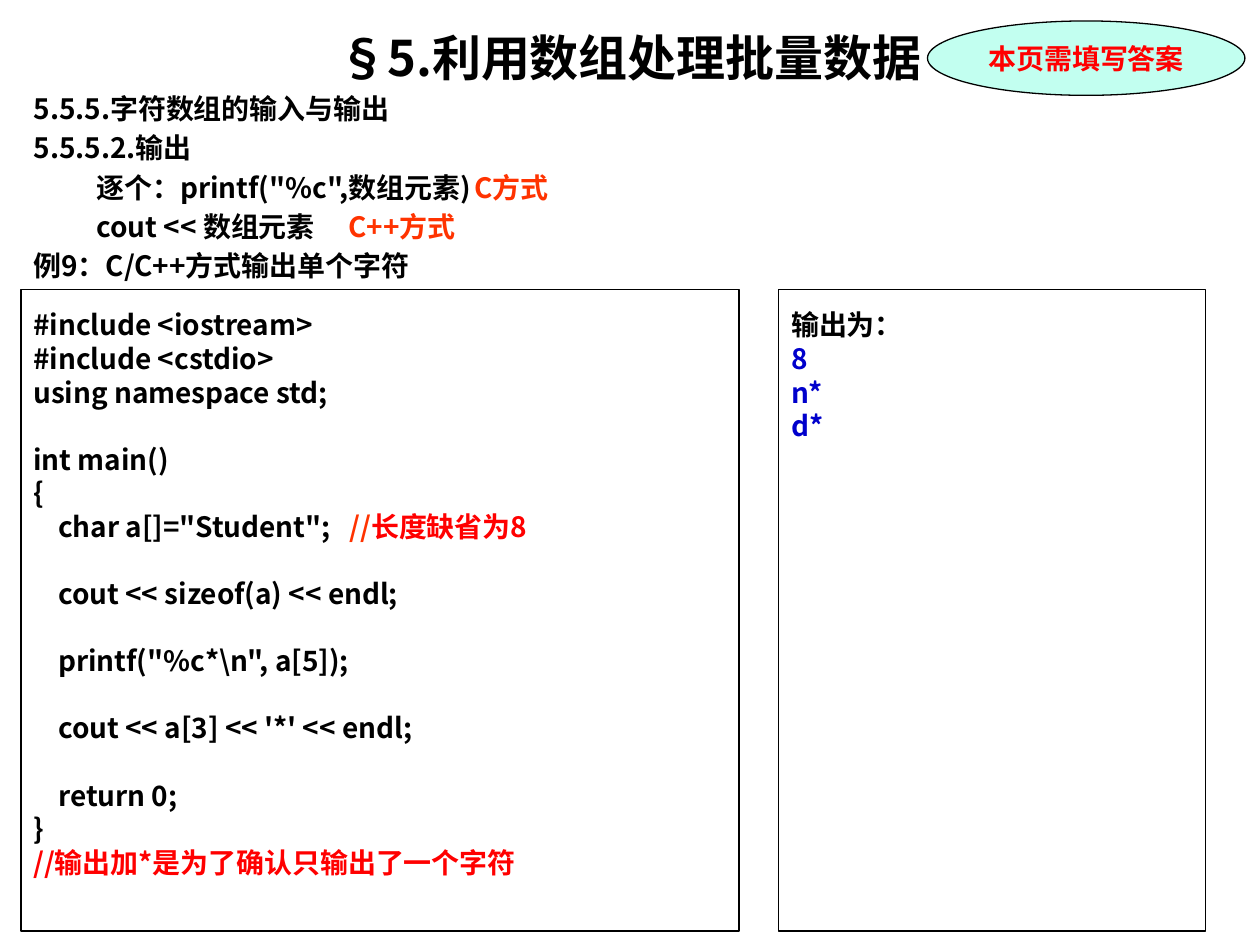
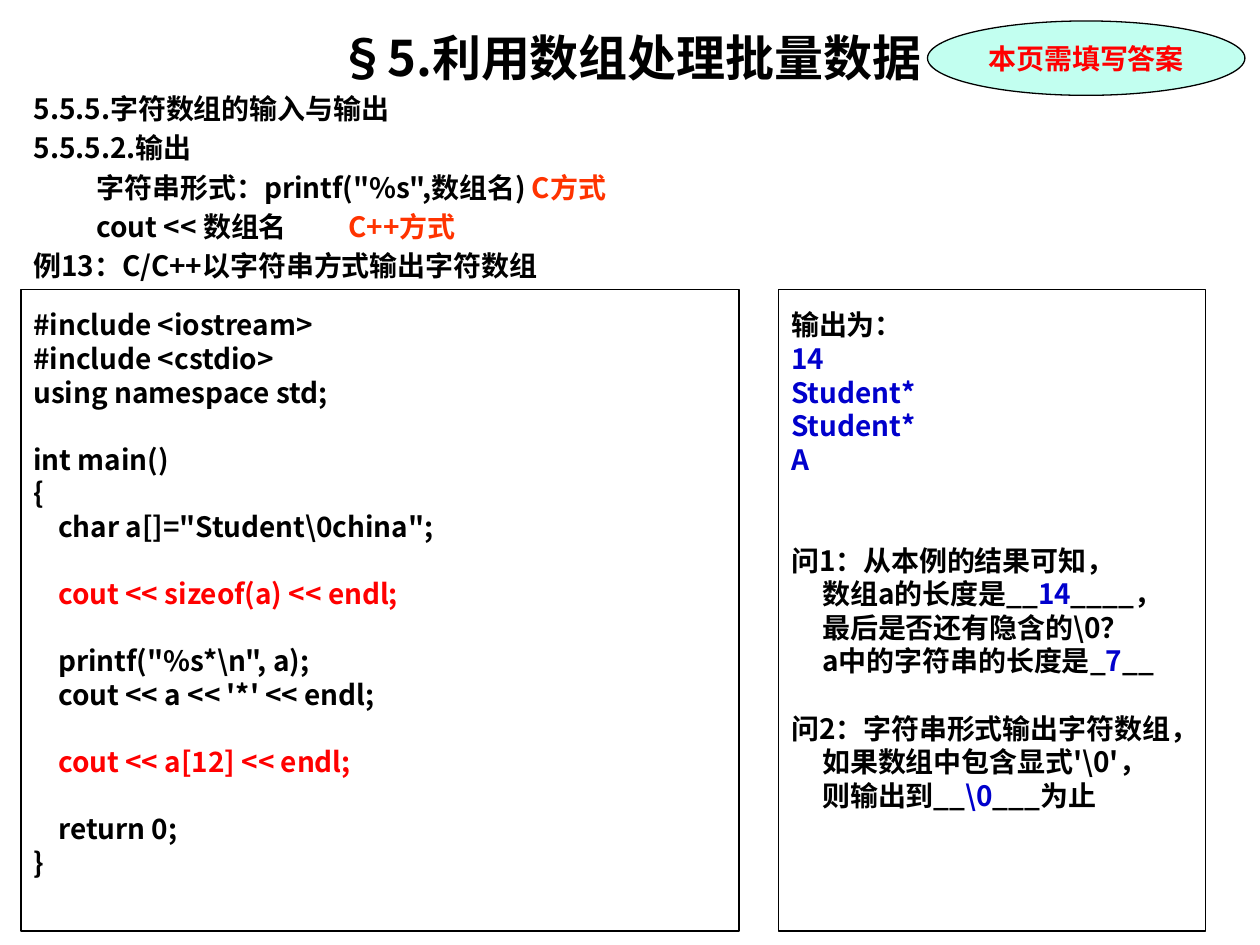
from lxml.etree import SubElement
from pptx import Presentation
from pptx.dml.color import RGBColor
from pptx.enum.shapes import MSO_SHAPE
from pptx.enum.text import MSO_ANCHOR, MSO_AUTO_SIZE, PP_ALIGN
from pptx.oxml.ns import qn
from pptx.util import Pt

# Shared style
BLACK = RGBColor(0x00, 0x00, 0x00)
RED = RGBColor(0xFF, 0x00, 0x00)
ORANGE = RGBColor(0xFF, 0x33, 0x00)
BLUE = RGBColor(0x00, 0x00, 0xCC)
MINT = RGBColor(0xC2, 0xFF, 0xF0)
SANS = "Noto Sans CJK SC"
SERIF = "Times New Roman"
LINE_RATIO = 1.2
TEXT_SIZE = 16
TITLE_SIZE = 28
BOX_TOP, BOX_HEIGHT = 165.6, 366.5


class Deck:
    """Holds the presentation, the style and the current slide."""

    def __init__(self):
        self.presentation = Presentation()
        self.presentation.slide_width = Pt(720)
        self.presentation.slide_height = Pt(540)
        self.slide = None

    def new_slide(self):
        layout = self.presentation.slide_layouts[0]
        self.slide = self.presentation.slides.add_slide(layout)

    def apply(self, target, formats):
        for name, value in formats.items():
            setattr(target, name, value)

    def place(self, shape, left, top, width, height):
        self.apply(shape, {"left": Pt(left), "top": Pt(top),
                           "width": Pt(width), "height": Pt(height)})

    def set_lines(self, shape, lines, size=TEXT_SIZE, font=SANS,
                  align=PP_ALIGN.LEFT, wrap=True, top_inset=3.6, after=0,
                  anchor=MSO_ANCHOR.TOP):
        """Each line is a pair of its (text, colour) runs and its tab stops.

        None leaves one line of space above the next line.
        """
        frame = shape.text_frame
        self.apply(frame, {
            "word_wrap": wrap, "auto_size": MSO_AUTO_SIZE.NONE,
            "vertical_anchor": anchor,
            "margin_left": Pt(7.2), "margin_right": Pt(7.2),
            "margin_top": Pt(top_inset), "margin_bottom": Pt(3.6)})
        pitch = size * LINE_RATIO
        paragraph, gap = frame.paragraphs[0], 0
        for index, content_line in enumerate(lines):
            if content_line is None:
                gap += pitch
                continue
            if index:
                paragraph = frame.add_paragraph()
            runs, stops = content_line
            self.apply(paragraph, {
                "alignment": align, "line_spacing": Pt(pitch),
                "space_before": Pt(gap), "space_after": Pt(after)})
            gap = 0
            self.add_tab_stops(paragraph, stops)
            for text, colour in runs:
                self.add_run(paragraph, text, colour, size, font)

    def add_tab_stops(self, paragraph, stops):
        if stops:
            tab_list = SubElement(paragraph._p.get_or_add_pPr(), qn("a:tabLst"))
            for stop in stops:
                SubElement(tab_list, qn("a:tab"), pos=str(Pt(stop)), algn="l")

    def add_run(self, paragraph, text, colour, size, font):
        run = paragraph.add_run()
        run.text = text
        self.apply(run.font, {"name": font, "size": Pt(size), "bold": True})
        run.font.color.rgb = colour
        SubElement(run._r.get_or_add_rPr(), qn("a:ea"), typeface=SANS)

    def title(self, text):
        shape = self.slide.shapes.title
        self.place(shape, 12, 12, 696, 36)
        self.set_lines(shape, [line(text)], size=TITLE_SIZE, align=PP_ALIGN.CENTER)

    def outline(self, lines):
        shape = self.slide.placeholders[1]
        self.place(shape, 12, 48.8, 696, 116)
        self.set_lines(shape, lines, align=PP_ALIGN.JUSTIFY, after=3.2)

    def outlined_shape(self, kind, left, top, width, height, fill=None):
        shape = self.slide.shapes.add_shape(
            kind, Pt(left), Pt(top), Pt(width), Pt(height))
        shape.shadow.inherit = False
        if fill is None:
            shape.fill.background()
        else:
            shape.fill.solid()
            shape.fill.fore_color.rgb = fill
        shape.line.color.rgb = BLACK
        shape.line.width = Pt(0.75)
        return shape

    def box(self, left, width, lines):
        shape = self.outlined_shape(
            MSO_SHAPE.RECTANGLE, left, BOX_TOP, width, BOX_HEIGHT)
        self.set_lines(shape, lines, wrap=False, top_inset=10.4)

    def badge(self, text):
        shape = self.outlined_shape(MSO_SHAPE.OVAL, 530, 12, 181.4, 42.5, MINT)
        self.set_lines(shape, [line(text, RED)], font=SERIF, align=PP_ALIGN.CENTER,
                       wrap=False, anchor=MSO_ANCHOR.MIDDLE)


def line(text, colour=BLACK, stops=()):
    return [(text, colour)], stops


def mixed(*runs, stops=()):
    return runs, stops


def code(text, colour=BLACK):
    """A statement indented by one step."""
    return line("\t" + text, colour, [14.3])


QUESTION_INDENT = [17.8]
PROGRAM_START = [line("#include <iostream>"), line("#include <cstdio>"),
                 line("using namespace std;"), None,
                 line("int main()"), line("{")]
PROGRAM_END = [None, code("return 0;"), line("}")]
OUTPUT_START = [line("输出为：")]

# Contents of the slides
SLIDES = [
    {
        "outline": [
            mixed(("\t逐个：printf(\"%c\",数组元素)\t", BLACK), ("C方式", ORANGE),
                  stops=[10.9, 253.7]),
            mixed(("\tcout << 数组元素\t", BLACK), ("C++方式", ORANGE),
                  stops=[32.6, 201]),
            line("例9：C/C++方式输出单个字符")],
        "program": [
            mixed(("\tchar a[]=\"Student\";\t", BLACK), ("//", ORANGE),
                  ("长度缺省为8", RED), stops=[14.3, 180.7]),
            None, code("cout << sizeof(a) << endl;"),
            None, code("printf(\"%c*\\n\", a[5]);"),
            None, code("cout << a[3] << '*' << endl;")],
        "remarks": [line("//输出加*是为了确认只输出了一个字符", RED)],
        "output": [line(text, BLUE) for text in ("8", "n*", "d*")],
    },
    {
        "outline": [
            mixed(("\t字符串形式：printf(\"%s\",数组名) ", BLACK),
                  ("C方式", ORANGE), stops=[10.9]),
            mixed(("\tcout << 数组名\t", BLACK), ("C++方式", ORANGE),
                  stops=[53.8, 192.6]),
            line("例13：C/C++以字符串方式输出字符数组")],
        "program": [
            code("char a[]=\"Student\\0china\";"),
            None, code("cout << sizeof(a) << endl;", RED),
            None, code("printf(\"%s*\\n\", a);"),
            code("cout << a << '*' << endl;"),
            None, code("cout << a[12] << endl;", RED)],
        "remarks": [],
        "output": [
            *[line(text, BLUE) for text in ("14", "Student*", "Student*", "A")],
            None, None,
            line("问1：从本例的结果可知，"),
            mixed(("\t数组a的长度是__", BLACK), ("14", BLUE), ("____，", BLACK),
                  stops=QUESTION_INDENT),
            line("\t最后是否还有隐含的\\0？", stops=QUESTION_INDENT),
            mixed(("\ta中的字符串的长度是_", BLACK), ("7", BLUE), ("__", BLACK),
                  stops=QUESTION_INDENT),
            None,
            line("问2：字符串形式输出字符数组，"),
            line("\t如果数组中包含显式'\\0'，", stops=QUESTION_INDENT),
            mixed(("\t则输出到__", BLACK), ("\\0", BLUE), ("___为止", BLACK),
                  stops=QUESTION_INDENT)],
    },
]

# Build the slides
deck = Deck()
for content in SLIDES:
    deck.new_slide()
    deck.title("§5.利用数组处理批量数据")
    deck.outline([line("5.5.5.字符数组的输入与输出"), line("5.5.5.2.输出"),
                  *content["outline"]])
    deck.box(12, 410.4, PROGRAM_START + content["program"] + PROGRAM_END
             + content["remarks"])
    deck.box(445, 244, OUTPUT_START + content["output"])
    deck.badge("本页需填写答案")
deck.presentation.save("out.pptx")
